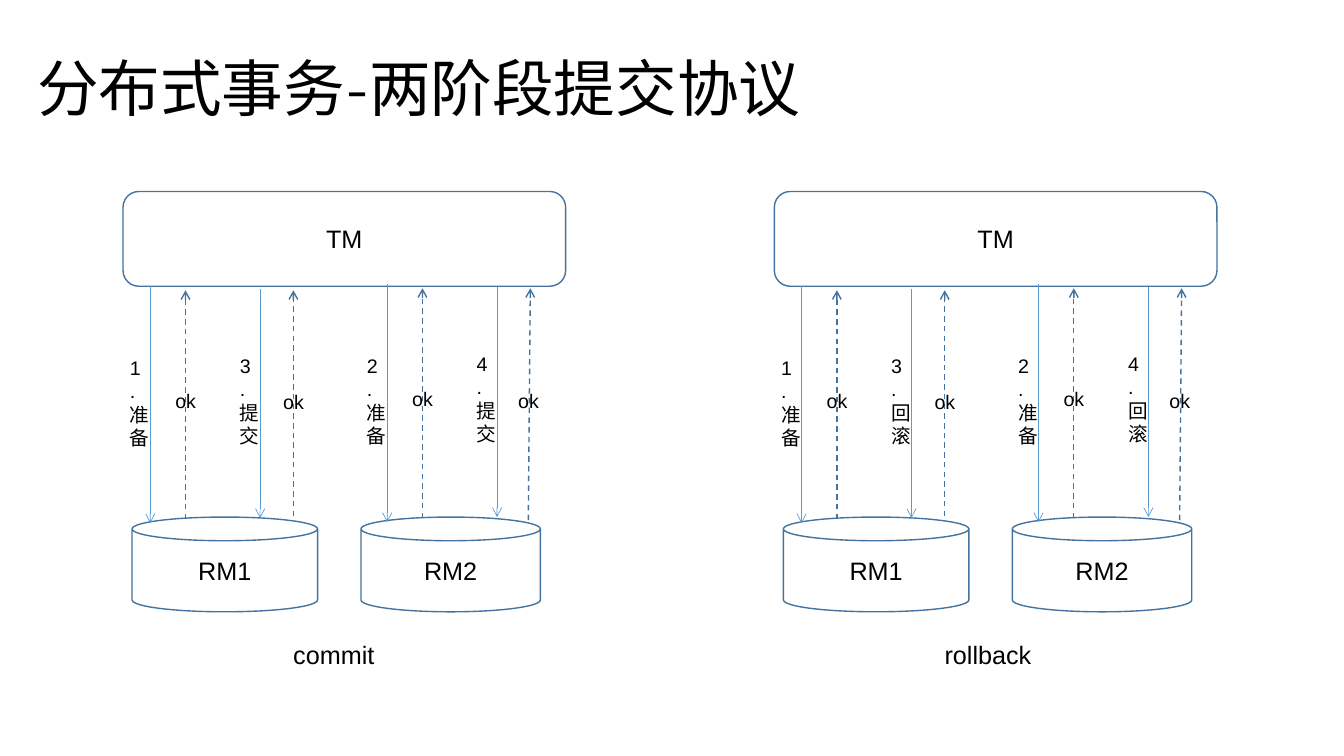
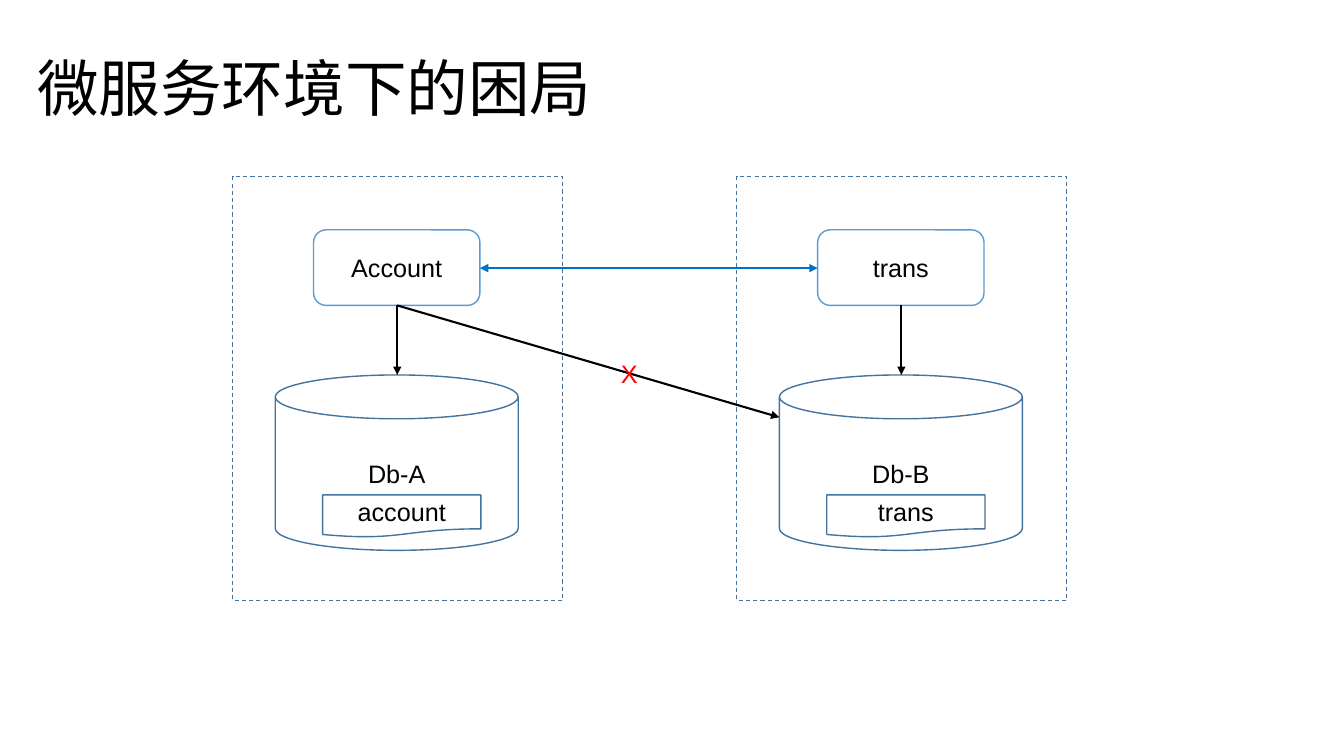
from lxml.etree import SubElement as Sub
from pptx import Presentation
from pptx.dml.color import RGBColor
from pptx.enum.dml import MSO_LINE_DASH_STYLE as Dash
from pptx.enum.shapes import MSO_CONNECTOR as Link, MSO_SHAPE as Kind
from pptx.enum.text import MSO_ANCHOR as Anchor, PP_ALIGN as Align
from pptx.oxml.ns import qn
from pptx.util import Emu, Pt

SCALE = 9144
BLACK, WHITE, RED = "000000", "FFFFFF", "FF0000"
NAVY, SKY, BLUE = "43739E", "5B9BD5", "0070C0"


def px(*nums):
    return [Emu(n * SCALE) for n in nums]


def tint(code):
    return RGBColor.from_string(code)


def write(shape, text, size=18, color=BLACK, font="Arial",
          align=Align.LEFT, anchor=Anchor.TOP, wrap=True, lead=None):
    frame = shape.text_frame
    frame.word_wrap = wrap
    frame.vertical_anchor = anchor
    para = frame.paragraphs[0]
    para.alignment = align
    para.line_spacing = lead
    run = para.add_run()
    run.text = text
    run.font.size = Pt(size)
    run.font.name = font
    run.font.color.rgb = tint(color)


class Deck:
    def __init__(self):
        self.show = Presentation()
        self.show.slide_width, self.show.slide_height = px(1333, 750)

    def page(self, title, width):
        self.slide = self.show.slides.add_slide(self.show.slide_layouts[6])
        self.pen = self.slide.shapes
        self.text(title, 27, 53, width, 76, size=44, font="Montserrat",
                  anchor=Anchor.MIDDLE, lead=0.9)

    def group(self):
        self.pen = self.slide.shapes.add_group_shape().shapes

    def text(self, text, x, y, w, h, **style):
        write(self.pen.add_textbox(*px(x, y, w, h)), text, **style)

    def box(self, kind, x, y, w, h, text="", color=NAVY, width=1, dash=None):
        shape = self.pen.add_shape(kind, *px(x, y, w, h))
        shape.shadow.inherit = False
        shape.fill.solid()
        shape.fill.fore_color.rgb = tint(WHITE)
        self.stroke(shape.line, color, width, dash)
        if text:
            write(shape, text, align=Align.CENTER, anchor=Anchor.MIDDLE)

    def stroke(self, line, color, width, dash):
        line.color.rgb = tint(color)
        line.width = Pt(width)
        if dash:
            line.dash_style = dash

    def arrow(self, x1, y1, x2, y2, color=BLACK, width=1.5, dash=None,
              tip="triangle", both=False):
        link = self.pen.add_connector(Link.STRAIGHT, *px(x1, y1, x2, y2))
        self.stroke(link.line, color, width, dash)
        props = link.line._get_or_add_ln()
        for end in ("a:headEnd", "a:tailEnd") if both else ("a:tailEnd",):
            Sub(props, qn(end), type=tip)
        Sub(link._element.spPr, qn("a:effectLst"))


def phase(deck, dx, verb, name, width):
    deck.group()
    deck.box(Kind.ROUNDED_RECTANGLE, 122 + dx, 190, 439, 94, "TM")
    deck.box(Kind.CAN, 131 + dx, 513, 184, 94, "RM1")
    deck.box(Kind.CAN, 358 + dx, 513, 178, 94, "RM2")
    lanes = [
        ("1.准备", 149, 284, 519, 348, 184, 515, 288, 381, 0),
        ("3." + verb, 258, 287, 514, 346, 291, 512, 288, 382, 0),
        ("2.准备", 384, 282, 518, 346, 419, 514, 286, 379, 0),
        ("4." + verb, 493, 285, 513, 344, 524, 516, 286, 381, 2),
    ]
    for step, down, top, foot, mark, up, low, high, reply, lean in lanes:
        down, up = down + dx, up + dx
        deck.arrow(down, top, down, foot, SKY, 0.5, tip="arrow")
        deck.arrow(up, low, up + lean, high, NAVY, 1, Dash.DASH, "arrow")
        deck.text(step, down - 30, mark, 32, 81, size=14)
        deck.text("ok", up - 20, reply, 41, 34, size=14)
    deck.text(name, 281 + dx, 629, width, 40, wrap=False)


def service(deck, dx, name, base, table):
    deck.box(Kind.RECTANGLE, 231 + dx, 175, 327, 421, width=0.75,
             dash=Dash.DASH)
    deck.box(Kind.ROUNDED_RECTANGLE, 311 + dx, 228, 165, 75, name, SKY)
    deck.box(Kind.CAN, 273 + dx, 372, 241, 174, base)
    deck.box(Kind.FLOWCHART_DOCUMENT, 320 + dx, 491, 157, 42, table)
    deck.arrow(394 + dx, 303, 394 + dx, 372)


def main():
    deck = Deck()
    deck.page("分布式事务-两阶段提交协议", 880)
    phase(deck, 0, "提交", "commit", 101)
    phase(deck, 646, "回滚", "rollback", 106)

    deck.page("微服务环境下的困局", 607)
    service(deck, 0, "Account", "Db-A", "account")
    service(deck, 500, "trans", "Db-B", "trans")
    deck.arrow(476, 266, 811, 266, BLUE, both=True)
    deck.arrow(394, 303, 773, 414)
    deck.text("X", 606, 351, 37, 40, color=RED, wrap=False)
    deck.show.save("out.pptx")


if __name__ == "__main__":
    main()
